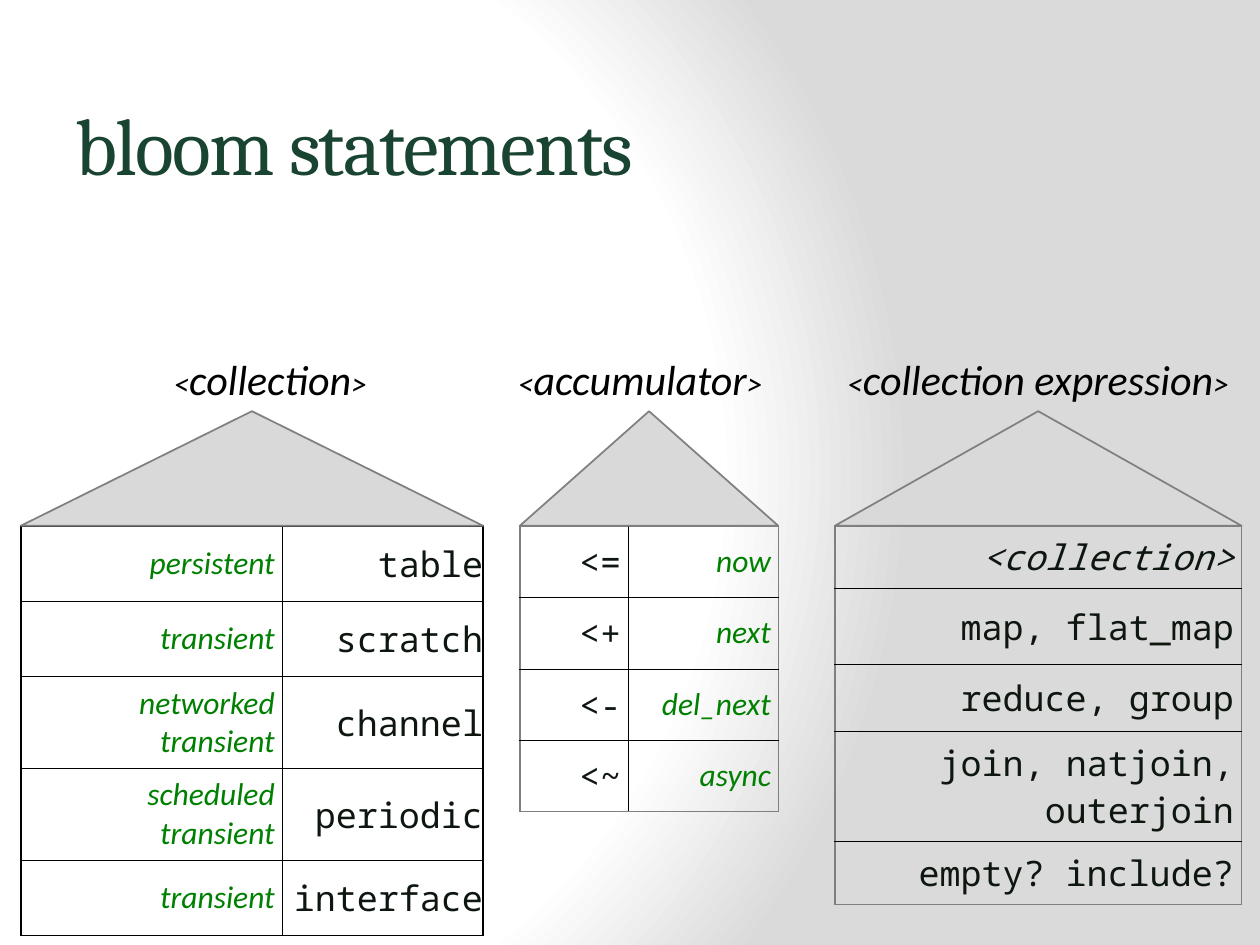
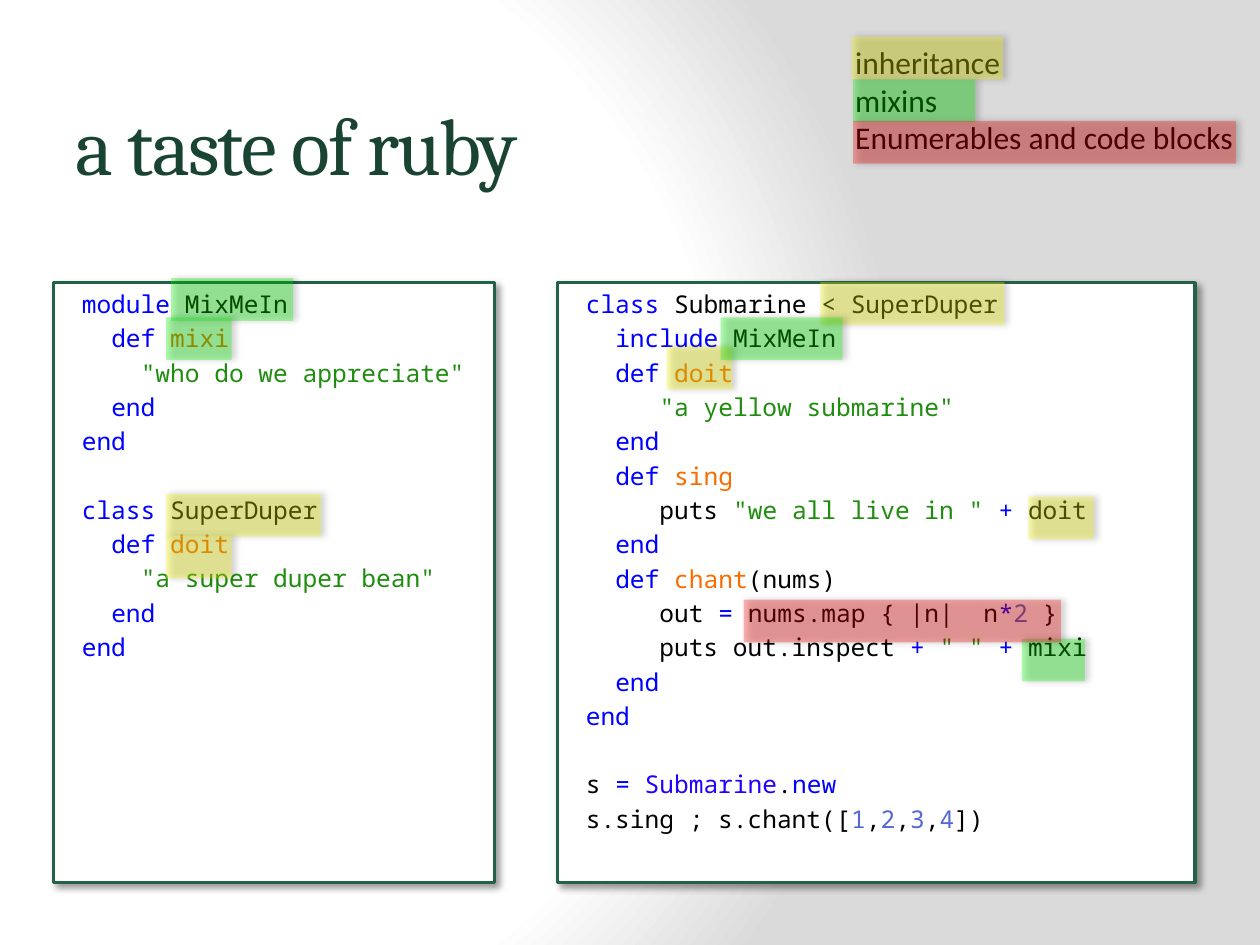
import pptx
import pptx.dml.color
import pptx.enum.shapes
import pptx.enum.text
import pptx.oxml
import pptx.oxml.ns
import pptx.util
from pptx.util import Cm, Pt

# Shared look
TITLE_FONT, BODY_FONT, CODE_FONT = "Cambria", "Calibri", "Noto Sans Mono"
DARK_GREEN, PANEL_GREEN = "194431", "246247"
BLACK, WHITE, GREY = "000000", "FFFFFF", "808080"
YELLOW, GREEN, RED = "FFFF00", "00FF00", "FF0000"
RIGHT = pptx.enum.text.PP_ALIGN.RIGHT
MIDDLE = pptx.enum.text.MSO_ANCHOR.MIDDLE
SHAPES = pptx.enum.shapes.MSO_SHAPE

# Text formats
LABEL = dict(font=BODY_FONT, size=18, color="008000", italic=True, align=RIGHT)
CODE_CELL = dict(font=CODE_FONT, size=20, color="0E1610", align=RIGHT)
SMALL = dict(size=18)
KEYWORD, METHOD = dict(color="0000FF"), dict(color="F76D00")
STRING, NUMBER = dict(color="208C10"), dict(color="5569D0")
CONSTANT = dict(color="2300FF")
CODE_GAP = 2.8
CODE_LINE = 19.6
CELL_MARGIN = 0.15

END = ("end", KEYWORD)
INNER_END = ["  ", END]

MODULE_CODE = [
    [("module ", KEYWORD), "MixMeIn"],
    ["  ", ("def ", KEYWORD), ("mixi", METHOD)],
    ["    ", ('"who do we appreciate"', STRING)],
    INNER_END,
    [END],
    [],
    [("class", KEYWORD), " SuperDuper"],
    ["  ", ("def ", KEYWORD), ("doit", METHOD)],
    ["    ", ('"a super duper bean"', STRING)],
    INNER_END,
    [END],
]

SUBMARINE_CODE = [
    [("class", KEYWORD), " Submarine < SuperDuper"],
    ["  ", ("include ", KEYWORD), "MixMeIn"],
    ["  ", ("def ", KEYWORD), ("doit", METHOD)],
    ["     ", ('"a yellow submarine"', STRING)],
    INNER_END,
    ["  ", ("def ", KEYWORD), ("sing", METHOD)],
    ["     puts ", ('"we all live in " ', STRING), ("+ ", KEYWORD), "doit"],
    INNER_END,
    ["  ", ("def ", KEYWORD), ("chant", METHOD), "(nums)"],
    ["     out ", ("= ", KEYWORD), "nums.map { |n|  n", ("*", KEYWORD),
     ("2", NUMBER), " }"],
    ["     puts out.inspect ", ("+ ", KEYWORD), ('" " ', STRING),
     ("+ ", KEYWORD), "mixi"],
    INNER_END,
    [END],
    [],
    ["s ", ("= ", KEYWORD), ("Submarine", CONSTANT), ".", ("new", KEYWORD)],
    ["s.sing ; s.chant([", ("1", NUMBER), ",", ("2", NUMBER), ",",
     ("3", NUMBER), ",", ("4", NUMBER), "])"],
]

# Highlights: left, top, width in cm
HIGHLIGHTS = {
    YELLOW: [(17.17, 0.74, 3.05), (16.54, 5.69, 3.71), (13.44, 6.99, 1.32),
             (3.35, 9.96, 3.12), (3.35, 10.8, 1.32), (20.73, 10.01, 1.32)],
    GREEN: [(17.2, 1.6, 2.46), (3.45, 5.61, 2.46), (3.35, 6.4, 1.32),
            (14.53, 6.4, 2.46), (20.6, 12.88, 1.27)],
    RED: [(17.2, 2.44, 7.72), (14.99, 12.09, 6.4)],
}


def rgb(value):
    return pptx.dml.color.RGBColor.from_string(value)


def xml(text):
    """Parse a DrawingML fragment, adding its namespace to the root tag."""
    tag = text[1:].replace(">", " ").replace("/", " ").split()[0]
    namespace = pptx.oxml.ns.nsdecls("a")
    return pptx.oxml.parse_xml(text.replace(tag, f"{tag} {namespace}", 1))


def write_run(paragraph, text, font, size, color, italic=False, spacing=None):
    run = paragraph.add_run()
    run.text = text
    run.font.name = font
    run.font.size = Pt(size)
    run.font.italic = italic
    run.font.color.rgb = rgb(color)
    if spacing is not None:
        run.font._element.set("spc", str(spacing))


def write_text(frame, lines, align=None, gap=0, indent=None, **style):
    """Write lines of runs; an empty line becomes space before the next."""
    paragraph, skipped = None, 0
    for line in lines:
        if not line:
            skipped += CODE_LINE
            continue
        first = paragraph is None
        paragraph = frame.paragraphs[0] if first else frame.add_paragraph()
        paragraph.alignment = align or pptx.enum.text.PP_ALIGN.LEFT
        paragraph.space_before = Pt(0 if first else gap + skipped)
        if indent is not None:
            properties = paragraph._p.get_or_add_pPr()
            properties.set("marL", str(indent))
            properties.set("indent", "0")
        skipped = 0
        for run in line:
            text, changes = (run, {}) if isinstance(run, str) else run
            write_run(paragraph, text, **{**style, **changes})


def set_background(master):
    master.background.fill.solid()
    holder = master.element.find(".//" + pptx.oxml.ns.qn("p:bgPr"))
    stops = "".join(
        f'<a:gs pos="{position}000"><a:srgbClr val="{color}"/></a:gs>'
        for position, color in ((0, WHITE), (75, WHITE), (100, "DADADA")))
    holder.replace(holder[0], xml(
        f'<a:gradFill rotWithShape="1"><a:gsLst>{stops}</a:gsLst>'
        '<a:path path="circle"><a:fillToRect l="20000" t="50000" '
        'r="100000" b="50000"/></a:path></a:gradFill>'))


def add_titled_slide(presentation, title):
    slide = presentation.slides.add_slide(presentation.slide_layouts[5])
    shape = slide.shapes.title
    shape.left, shape.top = Cm(1.27), Cm(1.3)
    shape.width, shape.height = Cm(22.83), Cm(3.18)
    shape.text_frame.vertical_anchor = MIDDLE
    write_text(shape.text_frame, [[title]], font=TITLE_FONT, size=46,
               color=DARK_GREEN, spacing=-100)
    return slide


def add_label(slide, left, top, width, height, lines, **style):
    box = slide.shapes.add_textbox(Cm(left), Cm(top), Cm(width), Cm(height))
    box.text_frame.word_wrap = False
    box.text_frame.auto_size = pptx.enum.text.MSO_AUTO_SIZE.SHAPE_TO_FIT_TEXT
    write_text(box.text_frame, lines, font=BODY_FONT, color=BLACK, **style)


def add_filled_shape(slide, kind, left, top, width, height, fill,
                     line=None, line_width=1):
    shape = slide.shapes.add_shape(kind, Cm(left), Cm(top), Cm(width), Cm(height))
    shape.shadow.inherit = False
    shape.fill.solid()
    shape.fill.fore_color.rgb = rgb(fill)
    if line:
        shape.line.color.rgb = rgb(line)
        shape.line.width = Pt(line_width)
    else:
        shape.line.fill.background()
    return shape


def add_shadow(shape, alpha, distance, angle):
    effects = shape._element.spPr.find(pptx.oxml.ns.qn("a:effectLst"))
    effects.append(xml(
        f'<a:outerShdw blurRad="{Pt(4)}" dist="{Pt(distance)}" '
        f'dir="{angle * 60000}" rotWithShape="0"><a:srgbClr val="{BLACK}">'
        f'<a:alpha val="{alpha}000"/></a:srgbClr></a:outerShdw>'))


def add_highlight(slide, left, top, width, color):
    shape = add_filled_shape(slide, SHAPES.RECTANGLE, left, top, width, 0.86, color)
    color_element = shape._element.spPr.find(".//" + pptx.oxml.ns.qn("a:srgbClr"))
    color_element.append(xml('<a:alpha val="30000"/>'))
    add_shadow(shape, 60, 2, 0)


def add_code_panel(slide, left, width, lines):
    panel = add_filled_shape(slide, SHAPES.RECTANGLE, left, 5.7, width, 12.09,
                             WHITE, PANEL_GREEN, 2)
    add_shadow(panel, 40, 3, 45)
    panel.text_frame.word_wrap = True
    panel.text_frame.vertical_anchor = pptx.enum.text.MSO_ANCHOR.TOP
    write_text(panel.text_frame, lines, font=CODE_FONT, size=14, color=BLACK,
               gap=CODE_GAP, indent=Cm(0.32))


def set_borders(cell, outer_sides, outer_color):
    properties = cell._tc.get_or_add_tcPr()
    for index, side in enumerate("LRTB"):
        color, width = (outer_color, 1) if side in outer_sides else (BLACK, 0.25)
        properties.insert(index, xml(
            f'<a:ln{side} w="{Pt(width)}"><a:solidFill><a:srgbClr val="{color}"/>'
            f'</a:solidFill></a:ln{side}>'))


def add_grid(slide, left, widths, heights, rows, formats, margins, outer_color):
    """Table with a 1 pt frame and hairlines inside."""
    table = slide.shapes.add_table(
        len(rows), len(widths), Cm(left), Cm(10.6),
        Cm(sum(widths)), Cm(sum(heights))).table
    table.first_row = table.horz_banding = False
    for column, width in zip(table.columns, widths):
        column.width = Cm(width)
    for r, (values, height) in enumerate(zip(rows, heights)):
        table.rows[r].height = Cm(height)
        for c, value in enumerate(values):
            cell = table.cell(r, c)
            cell.vertical_anchor = MIDDLE
            cell.margin_left = cell.margin_right = Cm(margins[c])
            cell.margin_top = cell.margin_bottom = Cm(margins[c])
            cell.fill.background()
            write_text(cell.text_frame, [[value]], **formats[c])
            edges = {"L": c == 0, "R": c == len(widths) - 1,
                     "T": r == 0, "B": r == len(rows) - 1}
            set_borders(cell, [s for s in edges if edges[s]], outer_color)


def add_roof(slide, caption, caption_left, caption_width, left, width):
    """Caption with the triangle that opens onto its table."""
    add_label(slide, caption_left, 7.01, caption_width, 1.27,
              [[("<", SMALL), caption, (">", SMALL)]], size=24, italic=True)
    add_filled_shape(slide, SHAPES.ISOSCELES_TRIANGLE, left, 8.29, width, 2.31,
                     "D9D9D9", GREY)


def build_statements(presentation):
    slide = add_titled_slide(presentation, "bloom statements")
    # Collections
    add_grid(slide, 0.42, [5.27, 4.05], [1.52] * 5,
             [("persistent", "table"), ("transient", "scratch"),
              ("networked transient", "channel"),
              ("scheduled transient", "periodic"), ("transient", "interface")],
             [LABEL, CODE_CELL], [CELL_MARGIN, 0], BLACK)
    # Accumulators
    add_grid(slide, 10.48, [2.19, 3.02], [1.44] * 4,
             [("<=", "now"), ("<+", "next"), ("<-", "del_next"), ("<~", "async")],
             [CODE_CELL, LABEL], [CELL_MARGIN] * 2, "7F7F7F")
    # Collection expressions
    add_grid(slide, 16.83, [8.2], [1.24, 1.52, 1.35, 2.2, 1.24],
             [(("<collection>", dict(italic=True)),), ("map, flat_map",),
              ("reduce, group",), ("join, natjoin, outerjoin",),
              ("empty? include?",)],
             [CODE_CELL], [CELL_MARGIN], "7F7F7F")
    add_roof(slide, "collection", 3.25, 4.67, 0.42, 9.32)
    add_roof(slide, "accumulator", 10.19, 5.72, 10.48, 5.21)
    add_roof(slide, "collection expression", 16.83, 8.51, 16.83, 8.2)


def build_ruby(presentation):
    slide = add_titled_slide(presentation, "a taste of ruby")
    add_code_panel(slide, 1.08, 8.89, MODULE_CODE)
    add_code_panel(slide, 11.24, 12.85, SUBMARINE_CODE)
    # Legend, then the marks over legend and code
    add_label(slide, 16.99, 0.74, 8.26, 2.57,
              [["inheritance"], ["mixins"], ["Enumerables and code blocks"]],
              size=18)
    for color, places in HIGHLIGHTS.items():
        for left, top, width in places:
            add_highlight(slide, left, top, width, color)


def main():
    presentation = pptx.Presentation()
    presentation.slide_width, presentation.slide_height = Cm(25.4), Cm(19.05)
    set_background(presentation.slide_master)
    build_statements(presentation)
    build_ruby(presentation)
    presentation.save("out.pptx")


if __name__ == "__main__":
    main()
